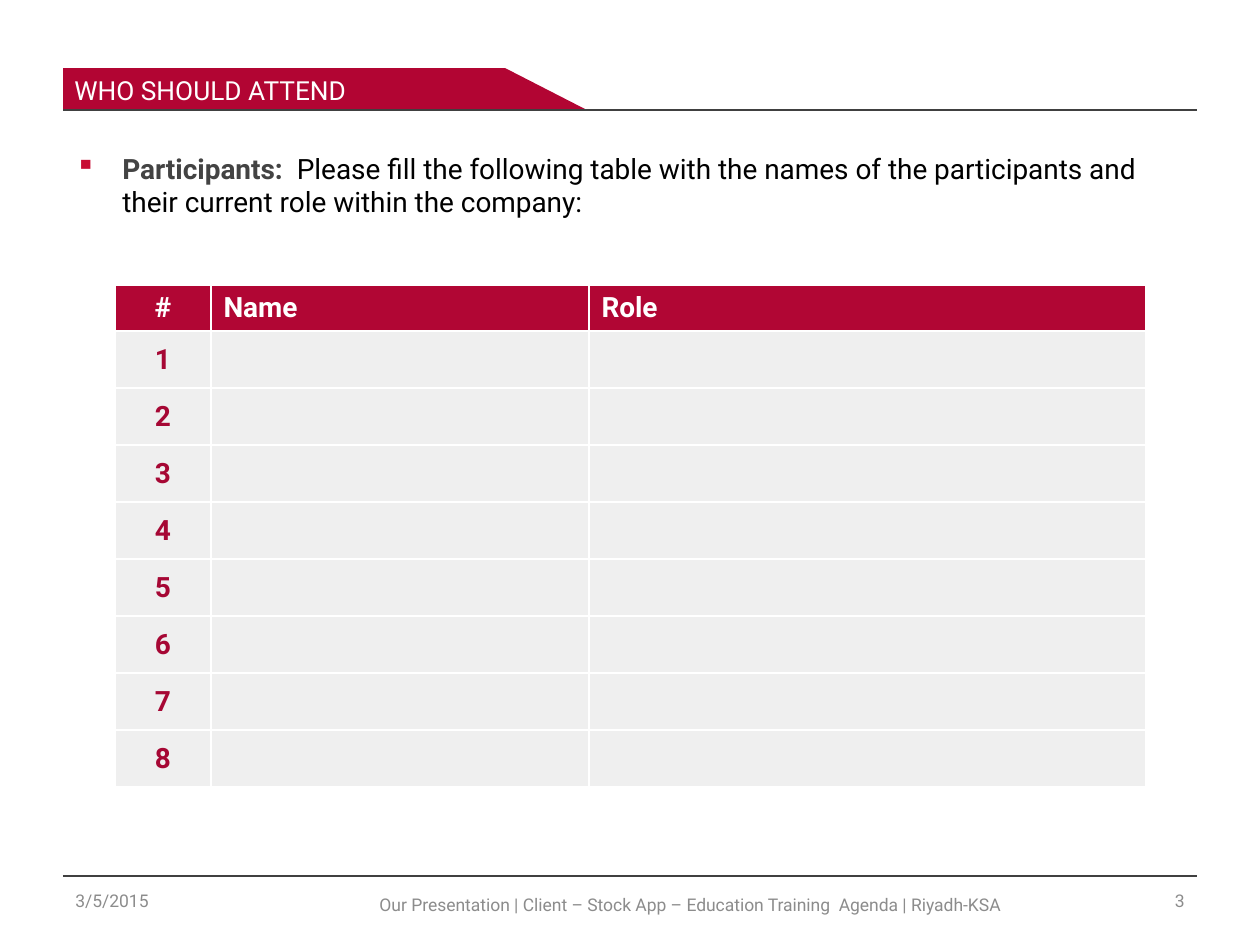
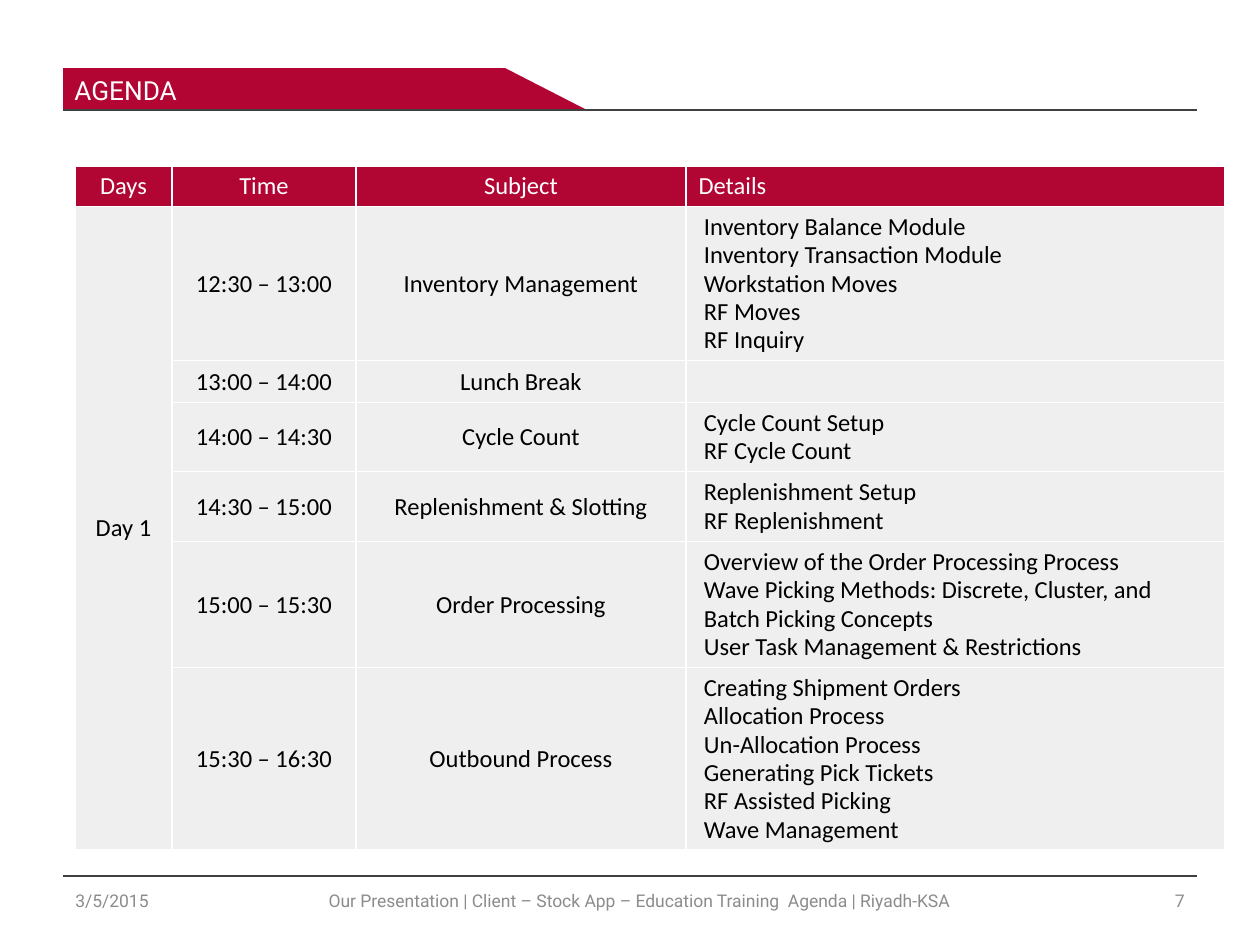
from lxml.etree import SubElement
from pptx import Presentation
from pptx.dml.color import RGBColor
from pptx.enum.shapes import MSO_CONNECTOR
from pptx.enum.text import MSO_ANCHOR as ANCHOR, PP_ALIGN as ALIGN
from pptx.oxml.ns import qn
from pptx.util import Inches, Pt

PX = 7257  # EMU per pixel at 126 pixels to the inch
RED, HEAD_RED, NUMBER_RED, BULLET_RED = "B20533", "B10634", "A60734", "C80D34"
WHITE, BLACK, LINE, BOLD_GREY, FOOT_GREY = "FFFFFF", "000000", "404040", "434343", "8C8C8C"
CELL_GREY = "E0E0E0"
FOOTER = "Our Presentation | Client – Stock App – Education Training  Agenda | Riyadh-KSA"


def rgb(hex_string):
    return RGBColor.from_string(hex_string)


def add_text(s, box, text, size, color, align=ALIGN.LEFT, anchor=ANCHOR.MIDDLE):
    tf = s.shapes.add_textbox(*[v * PX for v in box]).text_frame
    tf.word_wrap = True
    tf.vertical_anchor = anchor
    p = tf.paragraphs[0]
    p.text = text
    p.alignment = align
    p.font.name, p.font.size, p.font.color.rgb = "Roboto", Pt(size), rgb(color)
    return p


participants = [["#", "Name", "Role"]] + [[str(n), "", ""] for n in range(1, 9)]
agenda = [
    ["Days", "Time", "Subject", "Details"],
    ["Day 1", "12:30 – 13:00", "Inventory Management",
     "Inventory Balance Module\nInventory Transaction Module\nWorkstation Moves\n"
     "RF Moves\nRF Inquiry"],
    ["", "13:00 – 14:00", "Lunch Break", ""],
    ["", "14:00 – 14:30", "Cycle Count", "Cycle Count Setup\nRF Cycle Count"],
    ["", "14:30 – 15:00", "Replenishment & Slotting",
     "Replenishment Setup\nRF Replenishment"],
    ["", "15:00 – 15:30", "Order Processing",
     "Overview of the Order Processing Process\n"
     "Wave Picking Methods: Discrete, Cluster, and\vBatch Picking Concepts\n"
     "User Task Management & Restrictions"],
    ["", "15:30 – 16:30", "Outbound Process",
     "Creating Shipment Orders\nAllocation Process\nUn-Allocation Process\n"
     "Generating Pick Tickets\nRF Assisted Picking\nWave Management"],
]

slides = [
    dict(title="WHO SHOULD ATTEND", number="3", footer=(362, 880, 656, 50),
         rows=participants, at=(115, 285), widths=[96, 378, 557], heights=[44] + [57] * 8,
         font="Roboto", size=16, bold=True, color=NUMBER_RED, spacing=1, centred=[(0,), (0,)]),
    dict(title="AGENDA", number="7", footer=(302, 876, 674, 50),
         rows=agenda, at=(75, 166), widths=[97, 184, 330, 539],
         heights=[40, 154, 41, 69, 70, 126, 182],
         font="Calibri", size=14, bold=False, color=BLACK, spacing=0.95,
         centred=[(0, 1, 2), (0, 1, 2)]),
]

prs = Presentation()
prs.slide_width, prs.slide_height = Inches(10), Inches(7.5)

for d in slides:
    s = prs.slides.add_slide(prs.slide_layouts[6])

    # Title band
    outline = s.shapes.build_freeform(63, 68, scale=PX)
    outline.add_line_segments([(505, 68), (587, 110), (63, 110)], close=True)
    band = outline.convert_to_shape()
    band.shadow.inherit = False
    band.fill.solid()
    band.fill.fore_color.rgb = rgb(RED)
    band.line.fill.background()

    # Rules under the title and above the footer
    for y in (110, 876):
        rule = s.shapes.add_connector(MSO_CONNECTOR.STRAIGHT, 63 * PX, y * PX, 1197 * PX, y * PX)
        rule.line.color.rgb = rgb(LINE)
        rule.line.width = Pt(0.75)
        SubElement(rule._element.spPr, qn("a:effectLst"))

    add_text(s, (62, 68, 525, 43), d["title"], 15, WHITE, anchor=ANCHOR.TOP)

    # Table
    widths, heights = d["widths"], d["heights"]
    table = s.shapes.add_table(len(heights), len(widths), *[v * PX for v in d["at"]],
                               sum(widths) * PX, sum(heights) * PX).table
    table.first_row = table.horz_banding = False
    for column, width in zip(table.columns, widths):
        column.width = width * PX
    for i, (row, height) in enumerate(zip(d["rows"], heights)):
        table.rows[i].height = height * PX
        for j, text in enumerate(row):
            cell = table.cell(i, j)
            cell.text = text
            cell.vertical_anchor = ANCHOR.MIDDLE
            if i and j == 3:
                cell.margin_left = 18 * PX
            for p in cell.text_frame.paragraphs:
                p.alignment = ALIGN.CENTER if j in d["centred"][i > 0] else ALIGN.LEFT
                p.line_spacing = d["spacing"]
                p.font.name, p.font.size, p.font.bold = d["font"], Pt(d["size"]), d["bold"]
                p.font.color.rgb = rgb(d["color"] if i else WHITE)
            # White borders, then the fill
            tc_pr = cell._tc.get_or_add_tcPr()
            for side in ("a:lnL", "a:lnR", "a:lnT", "a:lnB"):
                ln = SubElement(tc_pr, qn(side), w=str(Pt(1)))
                SubElement(SubElement(ln, qn("a:solidFill")), qn("a:srgbClr"), val=WHITE)
            cell.fill.solid()
            cell.fill.fore_color.rgb = rgb(CELL_GREY if i else HEAD_RED)
            if i:
                SubElement(tc_pr.find(".//" + qn("a:srgbClr") + "[@val='" + CELL_GREY + "']"),
                           qn("a:alpha"), val="50000")
    if d["rows"] is agenda:
        table.cell(1, 0).merge(table.cell(6, 0))

    # Instruction above the participants table
    if d["rows"] is participants:
        p = add_text(s, (63, 145, 1134, 118), "Participants:  ", 16, BLACK, anchor=ANCHOR.TOP)
        p.runs[0].font.bold = True
        p.runs[0].font.color.rgb = rgb(BOLD_GREY)
        r = p.add_run()
        r.text = ("Please fill the following table with the names of the participants "
                  "and their current role within the company:")
        p_pr = p._p.get_or_add_pPr()
        p_pr.set("marL", str(47 * PX))
        p_pr.set("indent", str(-47 * PX))
        bullet_color = p_pr.makeelement(qn("a:buClr"))
        SubElement(bullet_color, qn("a:srgbClr"), val=BULLET_RED)
        bullet = p_pr.makeelement(qn("a:buChar"), char="▪")
        for element in (bullet_color, bullet):
            p_pr.find(qn("a:defRPr")).addprevious(element)

    # Footer
    add_text(s, (63, 876, 294, 50), "3/5/2015", 10, FOOT_GREY)
    add_text(s, d["footer"], FOOTER, 10, FOOT_GREY, ALIGN.CENTER)
    add_text(s, (903, 876, 294, 50), d["number"], 10, FOOT_GREY, ALIGN.RIGHT)

prs.save("out.pptx")
